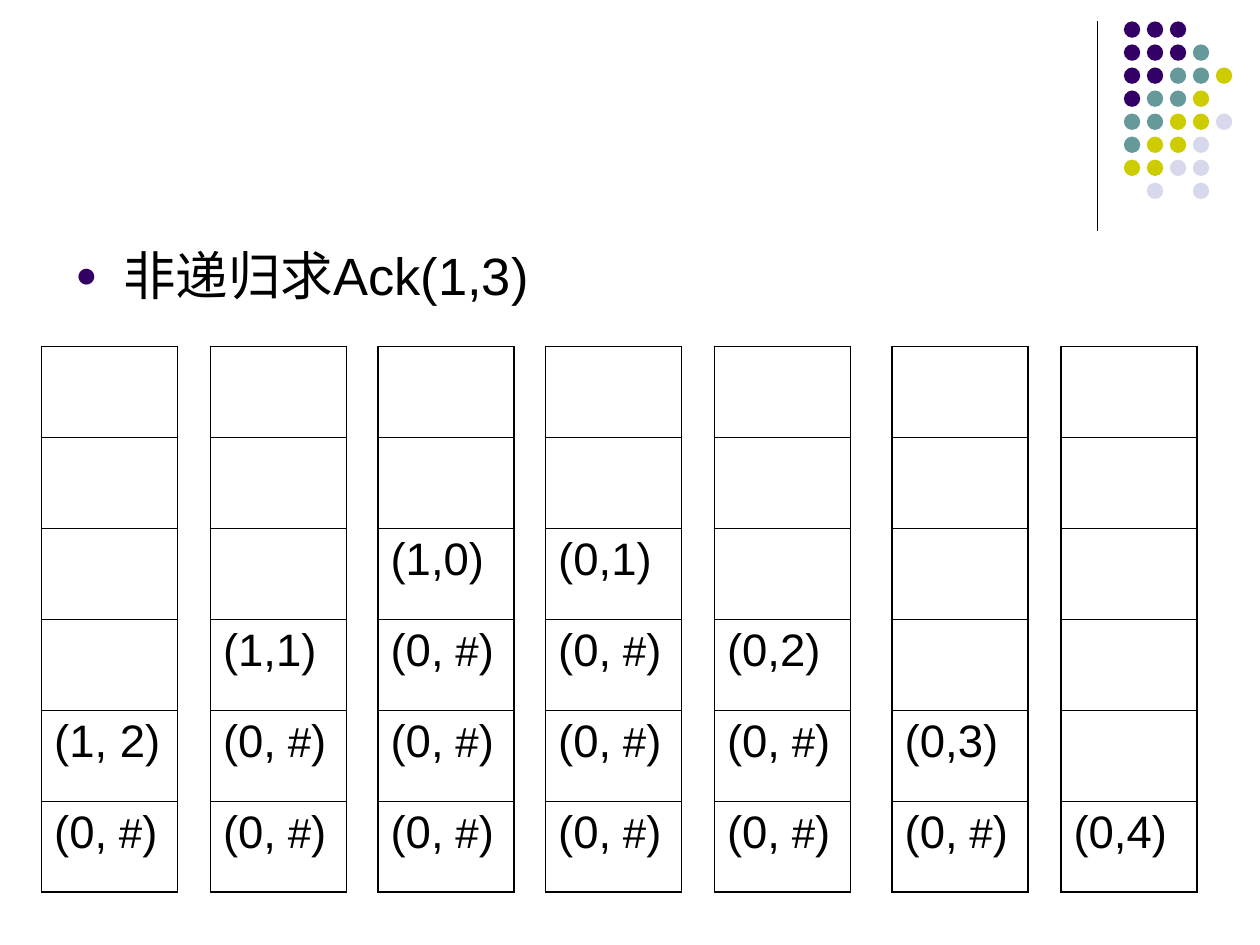
"""Build the slide tracing the stack of a non-recursive Ack(1,3)."""
from lxml.etree import SubElement
from pptx import Presentation
from pptx.dml.color import RGBColor
from pptx.enum.shapes import MSO_CONNECTOR as Connector, MSO_SHAPE as Shape
from pptx.oxml.ns import qn
from pptx.util import Inches, Pt


def color(value):
    return RGBColor.from_string(value)


def add_text(para, text, size=26, font="Arial", fill="000000"):
    span = para.add_run()
    span.text = text
    span.font.size = Pt(size)
    span.font.name = font
    span.font.color.rgb = color(fill)


deck = Presentation()
deck.slide_width, deck.slide_height = Inches(10), Inches(7.5)
page = deck.slides.add_slide(deck.slide_layouts[6])

rule = page.shapes.add_connector(
    Connector.STRAIGHT, Inches(8.71), Inches(0.17), Inches(8.71), Inches(1.83))
rule.line.color.rgb = color("000000")
rule.line.width = Pt(0.75)
SubElement(rule._element.spPr, qn("a:effectLst"))

dot_colors = {"P": "330066", "T": "669999", "Y": "CCCC00", "L": "D8D8EC"}
dot_rows = ["PPP", "PPPT", "PPTTY", "PTTY", "TTYYL", "TYYL", "YYLL", ".L.L"]
dots = page.shapes.add_group_shape()
for row, codes in enumerate(dot_rows):
    for column, code in enumerate(codes):
        if code in dot_colors:
            dot = dots.shapes.add_shape(
                Shape.OVAL, Inches(8.92 + column * 0.73 / 4),
                Inches(0.17 + row * 1.28 / 7), Inches(0.13), Inches(0.13))
            dot.shadow.inherit = False
            dot.fill.solid()
            dot.fill.fore_color.rgb = color(dot_colors[code])
            dot.line.fill.background()

box = page.shapes.add_textbox(Inches(0.5), Inches(1.88), Inches(9), Inches(4.82))
box.text_frame.word_wrap = True
para = box.text_frame.paragraphs[0]
properties = para._p.get_or_add_pPr()
properties.set("marL", str(Inches(0.38)))
properties.set("indent", str(-Inches(0.38)))
bullet_color = SubElement(properties, qn("a:buClr"))
SubElement(bullet_color, qn("a:srgbClr"), val="330066")
SubElement(properties, qn("a:buSzPct"), val="70000")
SubElement(properties, qn("a:buFont"), typeface="Arial")
SubElement(properties, qn("a:buChar"), char="●")
add_text(para, "非递归求Ack(1,3)", size=30)

row_count = 6
thick, thin = Pt(1.08), Pt(0.45)
stacks = [(0.33, "(1, 2)", 1), (1.67, "(1,1)", 2), (3, "(1,0)", 3),
          (4.33, "(0,1)", 3), (5.67, "(0,2)", 2), (7.08, "(0,3)", 1),
          (8.42, "(0,4)", 0)]
for left, top_entry, pending in stacks:
    frame = page.shapes.add_table(
        row_count, 1, Inches(left), Inches(2.75), Inches(1.08), Inches(4.33))
    table = frame.table
    table.first_row = table.horz_banding = False
    top_row = row_count - 1 - pending
    for row in range(row_count):
        cell = table.cell(row, 0)
        edges = {"a:lnL": thick, "a:lnR": thick,
                 "a:lnT": thick if row == 0 else thin,
                 "a:lnB": thick if row == row_count - 1 else thin}
        for tag, width in edges.items():
            edge = SubElement(cell._tc.get_or_add_tcPr(), qn(tag), w=str(width))
            edge_fill = SubElement(edge, qn("a:solidFill"))
            SubElement(edge_fill, qn("a:srgbClr"), val="000000")
        cell.fill.background()
        para = cell.text_frame.paragraphs[0]
        if row == top_row:
            add_text(para, top_entry)
        elif row > top_row:
            add_text(para, "(0,")
            add_text(para, " #", size=24)
            add_text(para, ")")

deck.save("out.pptx")
